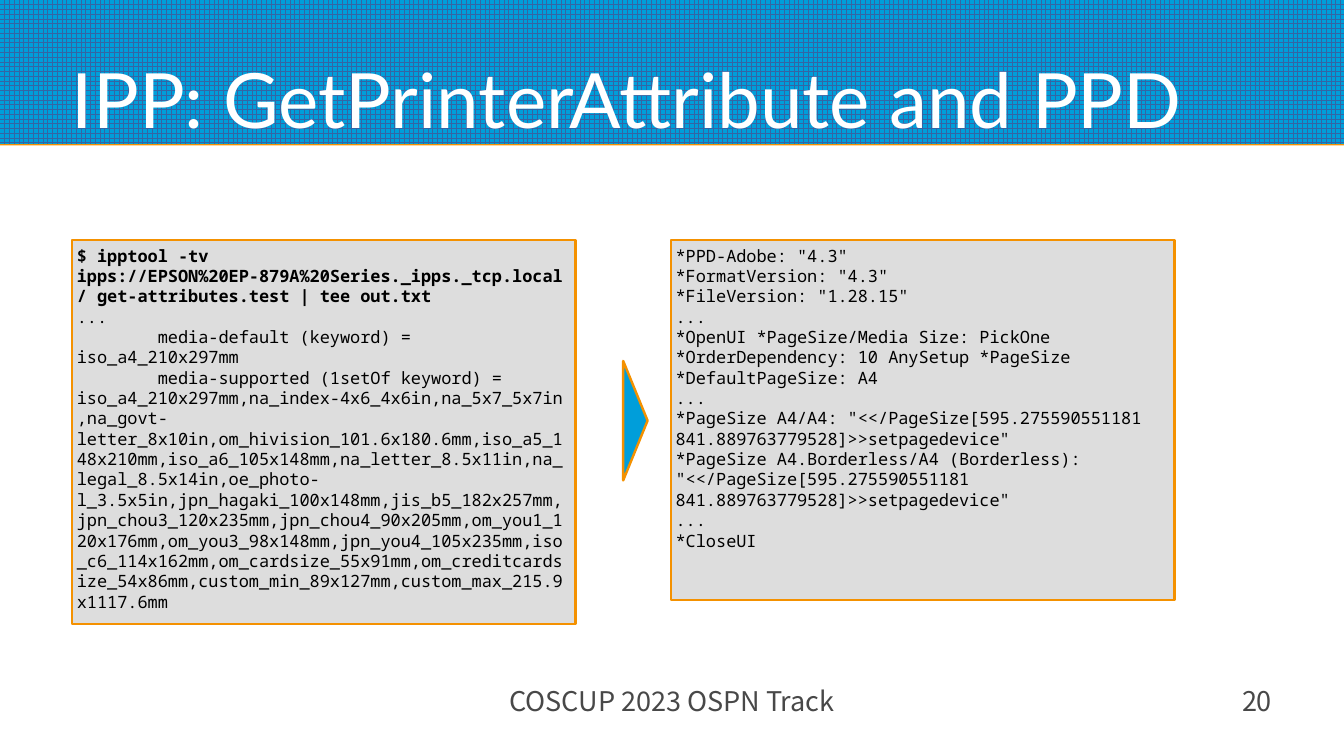
from dataclasses import dataclass

from lxml.etree import SubElement
from pptx import Presentation
from pptx.dml.color import RGBColor
from pptx.enum.dml import MSO_PATTERN
from pptx.enum.shapes import MSO_SHAPE as Preset
from pptx.enum.text import MSO_ANCHOR as Anchor, PP_ALIGN as Align
from pptx.oxml.ns import qn
from pptx.shapes.autoshape import Shape
from pptx.slide import Slide
from pptx.util import Inches, Pt

BLUE = RGBColor(0x00, 0x9E, 0xDA)
GRID_BLUE = RGBColor(0x34, 0x65, 0xA4)
ORANGE = RGBColor(0xF4, 0x91, 0x00)
PALE_GREY = RGBColor(0xDD, 0xDD, 0xDD)
DARK_GREY = RGBColor(0x48, 0x48, 0x48)
BLACK = RGBColor(0, 0, 0)
WHITE = RGBColor(0xFF, 0xFF, 0xFF)

WIDTH, HEIGHT = 11.02, 6.2
BANNER_HEIGHT = 1.18
MARGIN = 0.59
PANEL_TOP, PANEL_WIDTH = 1.97, 4.13
FOOTER_TOP, FOOTER_HEIGHT = 5.61, 0.49


@dataclass(frozen=True)
class Area:
    left: float
    top: float
    width: float
    height: float

    def lengths(self) -> list[Inches]:
        return [Inches(n) for n in (self.left, self.top, self.width, self.height)]


@dataclass(frozen=True)
class Style:
    font: str
    size: float
    color: RGBColor
    align: Align = Align.LEFT
    anchor: Anchor = Anchor.TOP
    inset: float = 0


@dataclass(frozen=True)
class Panel:
    area: Area
    lines: list[str]
    bold_lines: int = 0


@dataclass(frozen=True)
class Label:
    area: Area
    text: str
    style: Style


CODE = Style("Noto Sans Mono", 10, BLACK, inset=0.04)
TITLE = Style("Lato", 45, WHITE, anchor=Anchor.BOTTOM)
FOOTER = Style("Noto Sans CJK JP", 16, DARK_GREY, Align.CENTER)
NUMBER = Style("Noto Sans CJK JP", 16, DARK_GREY, Align.RIGHT)

PANELS = [
    Panel(Area(MARGIN, PANEL_TOP, PANEL_WIDTH, 3.15), [
        "$ ipptool -tv ipps://EPSON%20EP-879A%20Series._ipps._tcp.local/ "
        "get-attributes.test | tee out.txt",
        "...",
        "        media-default (keyword) = iso_a4_210x297mm",
        "        media-supported (1setOf keyword) = "
        "iso_a4_210x297mm,na_index-4x6_4x6in,na_5x7_5x7in,"
        "na_govt-letter_8x10in,om_hivision_101.6x180.6mm,iso_a5_148x210mm,"
        "iso_a6_105x148mm,na_letter_8.5x11in,na_legal_8.5x14in,"
        "oe_photo-l_3.5x5in,jpn_hagaki_100x148mm,jis_b5_182x257mm,"
        "jpn_chou3_120x235mm,jpn_chou4_90x205mm,om_you1_120x176mm,"
        "om_you3_98x148mm,jpn_you4_105x235mm,iso_c6_114x162mm,"
        "om_cardsize_55x91mm,om_creditcardsize_54x86mm,"
        "custom_min_89x127mm,custom_max_215.9x1117.6mm",
    ], bold_lines=1),
    Panel(Area(5.5, PANEL_TOP, PANEL_WIDTH, 2.95), [
        '*PPD-Adobe: "4.3"',
        '*FormatVersion: "4.3"',
        '*FileVersion: "1.28.15"',
        "...",
        "*OpenUI *PageSize/Media Size: PickOne",
        "*OrderDependency: 10 AnySetup *PageSize",
        "*DefaultPageSize: A4",
        "...",
        '*PageSize A4/A4: "<</PageSize[595.275590551181 '
        '841.889763779528]>>setpagedevice"',
        '*PageSize A4.Borderless/A4 (Borderless): "<</PageSize[595.275590551181 '
        '841.889763779528]>>setpagedevice"',
        "...",
        "*CloseUI",
    ]),
]

LABELS = [
    Label(Area(MARGIN, 0.1, 9.84, 1.08), "IPP: GetPrinterAttribute and PPD", TITLE),
    Label(Area(3.54, FOOTER_TOP, 3.94, FOOTER_HEIGHT), "COSCUP 2023 OSPN Track", FOOTER),
    Label(Area(7.87, FOOTER_TOP, 2.56, FOOTER_HEIGHT), "20", NUMBER),
]


def write(box: Shape, lines: list[str], style: Style, bold_lines: int = 0) -> None:
    frame = box.text_frame
    frame.word_wrap = True
    frame.vertical_anchor = style.anchor
    frame.margin_left = frame.margin_right = Inches(style.inset)
    frame.margin_top = frame.margin_bottom = Inches(style.inset)
    for index, line in enumerate(lines):
        para = frame.add_paragraph() if index else frame.paragraphs[0]
        para.alignment = style.align
        para.add_run().text = line
        para.font.name = style.font
        para.font.size = Pt(style.size)
        para.font.color.rgb = style.color
        para.font.bold = index < bold_lines


def add_outlined(page: Slide, preset: Preset, area: Area, fill: RGBColor) -> Shape:
    box = page.shapes.add_shape(preset, *area.lengths())
    box.shadow.inherit = False
    box.fill.solid()
    box.fill.fore_color.rgb = fill
    box.line.color.rgb = ORANGE
    box.line.width = Pt(1.42)
    return box


def add_banner(page: Slide) -> None:
    area = Area(0, 0, WIDTH, BANNER_HEIGHT)
    banner = page.shapes.add_shape(Preset.RECTANGLE, *area.lengths())
    banner.fill.patterned()
    banner.fill.pattern = MSO_PATTERN.LARGE_GRID
    banner.fill.fore_color.rgb = GRID_BLUE
    banner.fill.back_color.rgb = BLUE
    banner.line.fill.background()
    # Hard orange shadow that forms the lower edge
    banner.shadow.inherit = False
    effects = banner.element.spPr.find(qn("a:effectLst"))
    shadow = SubElement(effects, qn("a:outerShdw"), blurRad="0",
                        dist=str(Pt(0.9)), dir=str(90 * 60000), rotWithShape="0")
    SubElement(shadow, qn("a:srgbClr"), val=str(ORANGE))


def add_label(page: Slide, label: Label) -> None:
    box = page.shapes.add_textbox(*label.area.lengths())
    write(box, [label.text], label.style)


def main() -> None:
    deck = Presentation()
    deck.slide_width, deck.slide_height = Inches(WIDTH), Inches(HEIGHT)
    page = deck.slides.add_slide(deck.slide_layouts[6])

    add_banner(page)

    # Printer attributes and the resulting PPD
    for panel in PANELS:
        box = add_outlined(page, Preset.RECTANGLE, panel.area, PALE_GREY)
        write(box, panel.lines, CODE, panel.bold_lines)

    # Pointer between the panels
    pointer = add_outlined(page, Preset.ISOSCELES_TRIANGLE,
                           Area(4.72, 3.35, 0.98, 0.2), BLUE)
    pointer.rotation = 90

    # Title and footer
    for label in LABELS:
        add_label(page, label)

    deck.save("out.pptx")


if __name__ == "__main__":
    main()
